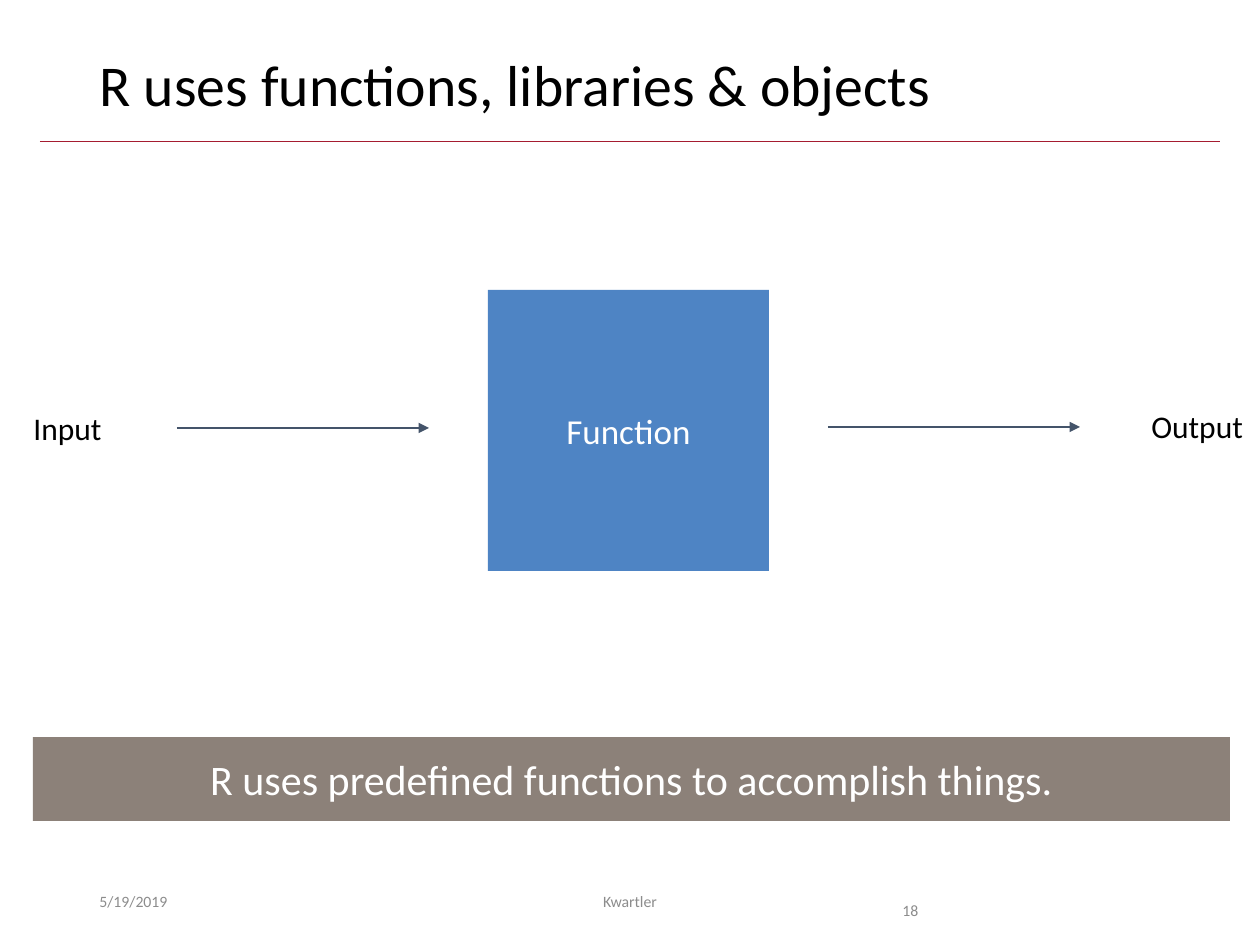
from lxml import etree
from pptx import Presentation
from pptx.dml.color import RGBColor
from pptx.enum.shapes import MSO_CONNECTOR, MSO_SHAPE
from pptx.enum.text import MSO_ANCHOR, MSO_AUTO_SIZE, PP_ALIGN
from pptx.oxml.ns import qn
from pptx.util import Emu, Pt

PX = 914400 // 126
FONT = "Calibri"
BLACK, WHITE, GREY = "000000", "FFFFFF", "8C8C8C"

# Positions are left, top, width, height in px
TITLE = ("R uses functions, libraries & objects", (87, 50, 1086, 82))
BLOCKS = [
    ("R uses predefined functions to accomplish things.", (33, 737, 1197, 84), "8C8179", 24),
    ("Function", (488, 290, 281, 281), "4E84C4", 20),
]
LABELS = [("Input", (21, 403, 96, 50)), ("Output", (1139, 401, 121, 50))]
FOOTERS = [
    ("5/19/2019", (87, 876, 284, 50), {"anchor": MSO_ANCHOR.MIDDLE}),
    ("Kwartler", (417, 876, 426, 50), {"anchor": MSO_ANCHOR.MIDDLE, "align": PP_ALIGN.CENTER}),
    ("18", (890, 876, 118, 50), {"spacing": 2}),
]
# Left, y, width in px, then colour, weight in points and arrowhead
RULES = [
    (40, 141, 1180, "A51C30", 0.5, False),
    (177, 428, 252, "44546A", 1, True),
    (828, 427, 252, "44546A", 1, True),
]


def color(value):
    return RGBColor.from_string(value)


def to_emu(lengths):
    return [Emu(length * PX) for length in lengths]


def write(shape, text, size, ink=BLACK, align=PP_ALIGN.LEFT, anchor=MSO_ANCHOR.TOP,
          spacing=None, wrap=True, fit=MSO_AUTO_SIZE.NONE):
    frame = shape.text_frame
    frame.word_wrap = wrap
    frame.auto_size = fit
    frame.vertical_anchor = anchor
    para = frame.paragraphs[0]
    para.alignment = align
    para.line_spacing = spacing
    span = para.add_run()
    span.text = text
    span.font.name = FONT
    span.font.size = Pt(size)
    span.font.color.rgb = color(ink)


def add_label(page, text, place, size, **style):
    write(page.shapes.add_textbox(*to_emu(place)), text, size, **style)


def add_block(page, text, place, fill, size):
    block = page.shapes.add_shape(MSO_SHAPE.RECTANGLE, *to_emu(place))
    block.shadow.inherit = False
    block.fill.solid()
    block.fill.fore_color.rgb = color(fill)
    block.line.fill.background()
    write(block, text, size, ink=WHITE, align=PP_ALIGN.CENTER, anchor=MSO_ANCHOR.MIDDLE)


def add_rule(page, left, y, width, ink, weight, arrow):
    rule = page.shapes.add_connector(MSO_CONNECTOR.STRAIGHT, *to_emu((left, y, left + width, y)))
    rule.line.color.rgb = color(ink)
    rule.line.width = Pt(weight)
    if arrow:
        etree.SubElement(rule.line._get_or_add_ln(), qn("a:tailEnd"), type="triangle")
    etree.SubElement(rule._element.spPr, qn("a:effectLst"))


def main():
    deck = Presentation()
    deck.slide_width, deck.slide_height = to_emu((1260, 945))
    page = deck.slides.add_slide(deck.slide_layouts[5])

    text, place = TITLE
    title = page.shapes.title
    title.left, title.top, title.width, title.height = to_emu(place)
    write(title, text, 33, spacing=0.9)

    for rule in RULES:
        add_rule(page, *rule)
    for block in BLOCKS:
        add_block(page, *block)
    for text, place in LABELS:
        add_label(page, text, place, 18, wrap=False, fit=MSO_AUTO_SIZE.SHAPE_TO_FIT_TEXT)
    for text, place, style in FOOTERS:
        add_label(page, text, place, 9, ink=GREY, **style)

    deck.save("out.pptx")


if __name__ == "__main__":
    main()
